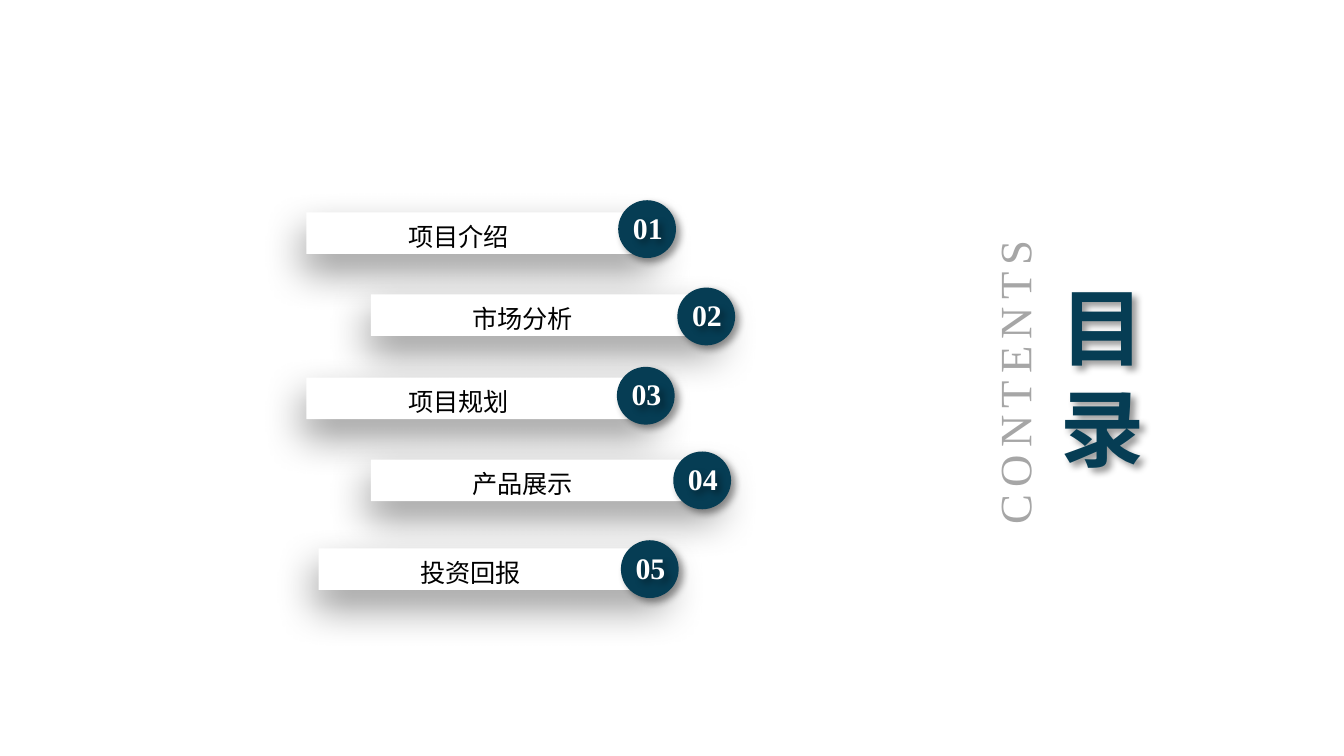
import pptx
import pptx.util
from pptx.dml.color import RGBColor
from pptx.enum.shapes import MSO_SHAPE
from pptx.enum.text import MSO_ANCHOR, MSO_AUTO_SIZE, PP_ALIGN
from pptx.oxml import parse_xml
from pptx.oxml.ns import nsdecls
from pptx.util import Inches, Pt

NAVY = RGBColor(0x06, 0x3D, 0x54)
GREY = RGBColor(0xA6, 0xA6, 0xA6)
WHITE = RGBColor(0xFF, 0xFF, 0xFF)
BLACK = RGBColor(0, 0, 0)
CJK = "Noto Sans CJK SC"
LATIN = "Times New Roman"

# label, bar left, bar top, badge left, badge top
ENTRIES = [
    ("项目介绍", 2.28, 1.58, 4.6, 1.49),
    ("市场分析", 2.76, 2.19, 5.04, 2.14),
    ("项目规划", 2.28, 2.81, 4.59, 2.73),
    ("产品展示", 2.76, 3.42, 5.01, 3.36),
    ("投资回报", 2.37, 4.08, 4.62, 4.02),
]
BAR_W, BAR_H = 2.61, 0.31
BADGE = 0.43
NUMBER_W, NUMBER_H = 0.44, 0.42


def add_shadow(shape, blur, distance, angle):
    """Outer black shadow at 40 %; blur and distance in points."""
    shape._element.spPr.append(parse_xml(
        f'<a:effectLst {nsdecls("a")}><a:outerShdw blurRad="{Pt(blur)}" '
        f'dist="{Pt(distance)}" dir="{angle * 60000}" algn="ctr" rotWithShape="0">'
        '<a:srgbClr val="000000"><a:alpha val="40000"/></a:srgbClr>'
        '</a:outerShdw></a:effectLst>'))


def write(shape, text, font, size, color, bold=False, align=PP_ALIGN.CENTER,
          margins=(0.1, 0.05, 0.1, 0.05), wrap=True):
    """Fill the text frame with one paragraph; margins are left, top, right, bottom."""
    tf = shape.text_frame
    tf.auto_size = MSO_AUTO_SIZE.NONE
    tf.word_wrap = wrap
    tf.vertical_anchor = MSO_ANCHOR.MIDDLE
    (tf.margin_left, tf.margin_top,
     tf.margin_right, tf.margin_bottom) = map(Inches, margins)
    p = tf.paragraphs[0]
    p.alignment = align
    r = p.add_run()
    r.text = text
    r.font.size = Pt(size)
    r.font.bold = bold
    r.font.color.rgb = color
    r.font.name = font
    r._r.get_or_add_rPr().append(
        parse_xml(f'<a:ea {nsdecls("a")} typeface="{font}"/>'))
    return p


def add_solid(s, kind, left, top, width, height, color):
    sp = s.shapes.add_shape(kind, *map(Inches, (left, top, width, height)))
    sp.fill.solid()
    sp.fill.fore_color.rgb = color
    sp.line.fill.background()
    return sp


prs = pptx.Presentation()
prs.slide_width = Inches(10)
prs.slide_height = prs.slide_width * 9 // 16
s = prs.slides.add_slide(prs.slide_layouts[5])

for label, left, top, _, _ in ENTRIES:
    bar = add_solid(s, MSO_SHAPE.RECTANGLE, left, top, BAR_W, BAR_H, WHITE)
    add_shadow(bar, 22, 10, 101)
    p = write(bar, label, CJK, 13.5, BLACK, margins=(0.09, 0, 0.44, 0))
    p.line_spacing = 1.2

for number, (_, _, _, left, top) in enumerate(ENTRIES, 1):
    badge = add_solid(s, MSO_SHAPE.OVAL, left, top, BADGE, BADGE, NAVY)
    add_shadow(badge, 4, 3, 45)
    digits = s.shapes.add_textbox(
        *map(Inches, (left, top - 0.01, NUMBER_W, NUMBER_H)))
    add_shadow(digits, 4, 3, 45)
    write(digits, f"{number:02}", LATIN, 16, WHITE, bold=True,
          margins=(0, 0, 0, 0), wrap=False)

subtitle = s.shapes.add_textbox(*map(Inches, (6.12, 2.6, 2.84, 0.49)))
subtitle.rotation = 270
p = write(subtitle, "CONTENTS", LATIN, 24, GREY, wrap=False)
p.runs[0]._r.get_or_add_rPr().set("spc", "380")

# The title box is narrower than two characters, so they stack
title = s.shapes.title
title.left, title.top, title.width, title.height = map(
    Inches, (7.79, 2.31, 0.46, 0.98))
add_shadow(title, 4, 3, 45)
p = write(title, "目录", CJK, 45, NAVY, bold=True, align=PP_ALIGN.LEFT)
p.line_spacing = Pt(54)

prs.save("out.pptx")
